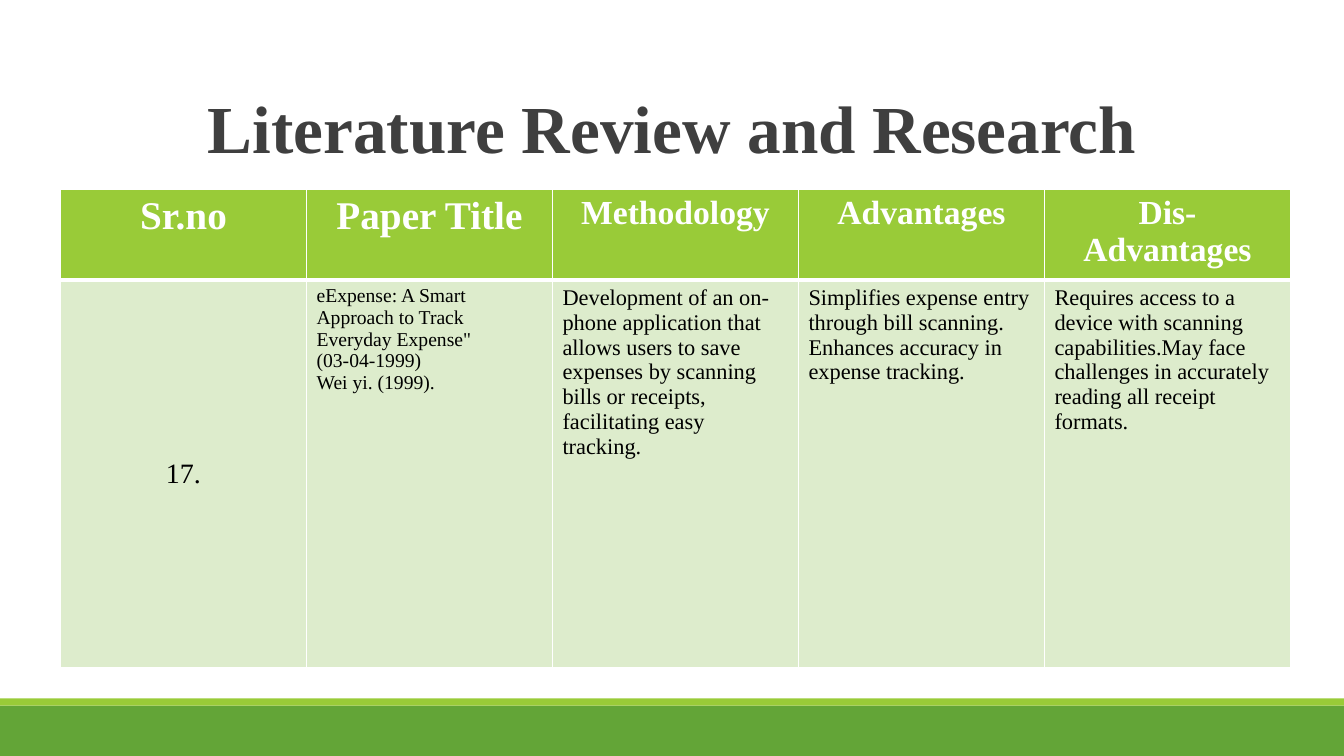
from lxml import etree
from pptx import Presentation
from pptx.dml.color import RGBColor
from pptx.enum.shapes import MSO_SHAPE
from pptx.enum.text import MSO_ANCHOR, PP_ALIGN
from pptx.oxml.ns import qn
from pptx.util import Inches, Pt

RECTANGLE = MSO_SHAPE.RECTANGLE
TOP, MIDDLE, BOTTOM = MSO_ANCHOR.TOP, MSO_ANCHOR.MIDDLE, MSO_ANCHOR.BOTTOM
LEFT, CENTER = PP_ALIGN.LEFT, PP_ALIGN.CENTER

FONT = "Times New Roman"
COLORS = {
    "title": "3F3F3F",
    "lime": "99CB38",
    "green": "63A537",
    "pale": "DDECCC",
    "white": "FFFFFF",
    "black": "000000",
}
TITLE = "Literature Review and Research"
HEADERS = [("Sr.no", 28), ("Paper Title", 28), ("Methodology", 24),
           ("Advantages", 24), ("Dis-Advantages", 24)]
PAPER = [
    (["17."], 20),
    (["eExpense: A Smart Approach to Track Everyday Expense\"\n(03-04-1999)",
      "Wei yi. (1999)."], 14),
    (["Development of an on-phone application that allows users to save expenses "
      "by scanning bills or receipts, facilitating easy tracking."], 16),
    (["Simplifies expense entry through bill scanning.",
      "Enhances accuracy in expense tracking."], 16),
    (["Requires access to a device with scanning capabilities.May face "
      "challenges in accurately reading all receipt formats."], 16),
]
BANDS = [(7, 0.5, "green"), (6.93, 0.07, "lime")]
SLIDE_WIDTH, SLIDE_HEIGHT = 13.33, 7.5
COLUMN_WIDTH = 2.44
ROW_HEIGHTS = [0.84, 3.84]


def color(name):
    return RGBColor.from_string(COLORS[name])


def write(frame, paragraphs, size, color_name, bold, align):
    for index, text in enumerate(paragraphs):
        paragraph = frame.paragraphs[0] if index == 0 else frame.add_paragraph()
        paragraph.alignment = align
        for line_index, line in enumerate(text.split("\n")):
            if line_index:
                paragraph.add_line_break()
            run = paragraph.add_run()
            run.text = line
            run.font.name = FONT
            run.font.size = Pt(size)
            run.font.bold = bold
            run.font.color.rgb = color(color_name)


def style_cell(cell, fill_name, bottom_width):
    properties = cell._tc.get_or_add_tcPr()
    for side, width in (("L", 1), ("R", 1), ("T", 1), ("B", bottom_width)):
        border = etree.SubElement(properties, qn("a:ln" + side), w=str(Pt(width)))
        fill = etree.SubElement(border, qn("a:solidFill"))
        etree.SubElement(fill, qn("a:srgbClr"), val=COLORS["white"])
    cell.fill.solid()
    cell.fill.fore_color.rgb = color(fill_name)


presentation = Presentation()
presentation.slide_width = Inches(SLIDE_WIDTH)
presentation.slide_height = Inches(SLIDE_HEIGHT)
slide = presentation.slides.add_slide(presentation.slide_layouts[6])

for top, height, fill_name in BANDS:
    band = slide.shapes.add_shape(RECTANGLE, 0, Inches(top), Inches(SLIDE_WIDTH), Inches(height))
    band.shadow.inherit = False
    band.fill.solid()
    band.fill.fore_color.rgb = color(fill_name)
    band.line.fill.background()

title_frame = slide.shapes.add_textbox(Inches(1.17), Inches(0.12), Inches(11), Inches(1.59)).text_frame
title_frame.word_wrap = True
title_frame.vertical_anchor = BOTTOM
write(title_frame, [TITLE], 48, "title", True, CENTER)
title_frame.paragraphs[0].line_spacing = 0.85

table = slide.shapes.add_table(
    len(ROW_HEIGHTS), len(HEADERS), Inches(0.6), Inches(1.88),
    Inches(COLUMN_WIDTH * len(HEADERS)), Inches(sum(ROW_HEIGHTS))).table
table.horz_banding = False
for row, height in zip(table.rows, ROW_HEIGHTS):
    row.height = Inches(height)

for column, ((header, header_size), (paragraphs, size)) in enumerate(zip(HEADERS, PAPER)):
    table.columns[column].width = Inches(COLUMN_WIDTH)
    header_cell, paper_cell = table.cell(0, column), table.cell(1, column)
    style_cell(header_cell, "lime", 3)
    write(header_cell.text_frame, [header], header_size, "white", True, CENTER)
    style_cell(paper_cell, "pale", 1)
    paper_cell.vertical_anchor = TOP if column else MIDDLE
    write(paper_cell.text_frame, paragraphs, size, "black", False, LEFT if column else CENTER)

presentation.save("out.pptx")
